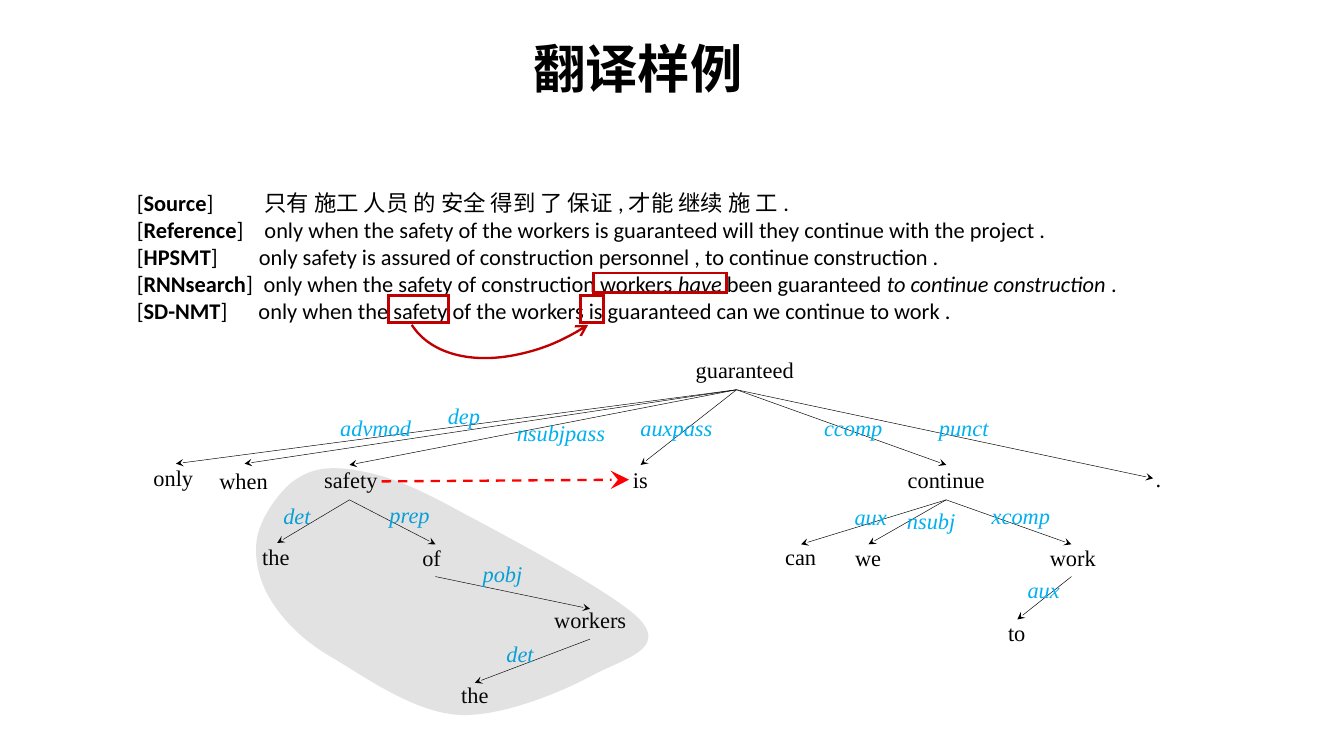
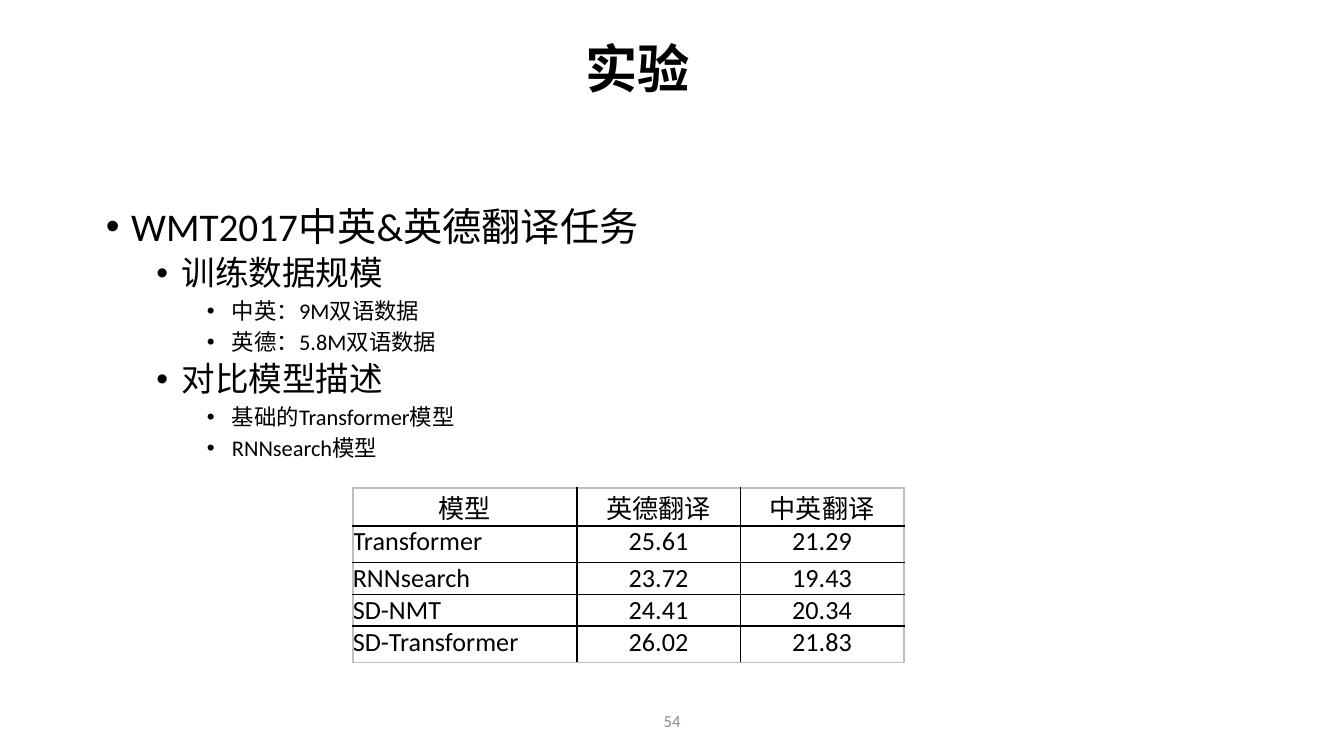
from lxml import etree
from pptx import Presentation
from pptx.dml.color import RGBColor
from pptx.enum import dml, shapes, text
from pptx.oxml.ns import qn
from pptx.util import Pt

BLACK = RGBColor(0x00, 0x00, 0x00)
WHITE = RGBColor(0xFF, 0xFF, 0xFF)
GRAY = RGBColor(0x8C, 0x8C, 0x8C)
EDGE_GRAY = RGBColor(0xBF, 0xBF, 0xBF)
LABEL_BLUE = RGBColor(0x00, 0xB0, 0xF0)
DARK_RED = RGBColor(0xC0, 0x00, 0x00)
RED = RGBColor(0xFF, 0x00, 0x00)
CLOUD = RGBColor(0x3B, 0x38, 0x38)
SANS, SERIF = "Calibri", "Times New Roman"
CENTER = text.PP_ALIGN.CENTER

# system, tab stop, runs of (text, italic)
TRANSLATIONS = [
    ("Source", 68.4, [("只有 施工 人员 的 安全 得到 了 保证 , 才能 继续 施 工 .", False)]),
    ("Reference", 68.4, [("only when the safety of the workers is guaranteed will they "
                          "continue with the project .", False)]),
    ("HPSMT", 65.4, [("only safety is assured of construction personnel , "
                      "to continue construction .", False)]),
    ("RNNsearch", 67.9, [("only when the safety of construction workers ", False),
                         ("have", True), (" been guaranteed ", False),
                         ("to continue construction ", True), (".", False)]),
    ("SD-NMT", 65.2, [("only when the safety of the workers is guaranteed can we "
                       "continue to work .", False)]),
]
HIGHLIGHTS = [(318, 146.3, 71.3, 10.3), (311, 158.4, 12.3, 14.4), (208.2, 158.4, 31.9, 14.4)]
ARC_BOX, ARC_ROTATION = (208, 80, 159, 102.2), 327.3

# key: word, text left, top, width, then the plate: centre x, top, bottom, width
WORDS = {
    "guaranteed": ("guaranteed", 365.2, 187.2, 67.7, 394.6, 192.2, 208.8, 61.2),
    "only": ("only", 74.9, 245.1, 36, 94.3, 248.4, 267.8, 31),
    "when": ("when", 110, 246.8, 41, 131, 248.4, 267.8, 21.6),
    "safety": ("safety", 166, 246.4, 43.9, 187.2, 249.1, 267.8, 0),
    "is": ("is", 331.9, 246.2, 22.3, 343.2, 249.1, 267.8, 18),
    "continue": ("continue", 478.8, 246.2, 56.2, 506.9, 249.1, 267.8, 59),
    "stop": (".", 612, 245.5, 17.3, 617.8, 256.3, 275, 24.5),
    "the safety": ("the", 133, 287.3, 29.5, 148.5, 290.9, 307.4, 26.6),
    "of": ("of", 219, 288, 24.5, 233.3, 291.6, 308.9, 23),
    "workers": ("workers", 289.6, 321.1, 53.3, 316.1, 326.2, 342.4, 48.2),
    "the workers": ("the", 239.6, 361.4, 29.5, 254.4, 365.8, 381.6, 26.6),
    "can": ("can", 413.1, 287.3, 31.7, 429.1, 291.6, 308.9, 25.2),
    "we": ("we", 450.7, 288, 28.8, 465.3, 291.6, 308.9, 23),
    "work": ("work", 554.9, 288, 39.6, 574, 291.6, 308.9, 31.7),
    "to": ("to", 532.8, 328.3, 23.8, 545, 331.9, 348.5, 23),
}
SPARE_PLATE = (255.6, 249.1, 18, 18.7)
# head, dependent, relation, label left, top, width
DEPENDENCIES = [
    ("guaranteed", "only", "advmod", 175.2, 218.2, 52.6),
    ("guaranteed", "when", "dep", 232.8, 211.7, 32.4),
    ("guaranteed", "safety", "nsubjpass", 269.8, 221, 61.9),
    ("guaranteed", "is", "auxpass", 336, 218.2, 53.3),
    ("guaranteed", "continue", "ccomp", 434.4, 218.2, 46.1),
    ("guaranteed", "stop", "punct", 495.9, 218.2, 41.8),
    ("safety", "the safety", "det", 144.7, 265.7, 29.5),
    ("safety", "of", "prep", 201.6, 265, 36),
    ("of", "workers", "pobj", 251.5, 296.6, 36),
    ("workers", "the workers", "det", 264.2, 339.3, 29.5),
    ("continue", "can", "aux", 450.7, 265.9, 32.4),
    ("continue", "we", "nsubj", 478.8, 268, 41),
    ("continue", "work", "xcomp", 524.2, 265.7, 46.1),
    ("work", "to", "aux", 543.4, 305.3, 32.4),
]
SUBTREE_BOX = (136.8, 251.3, 210.2, 131.8)
SUBTREE_START = (186.5, 251.3)
SUBTREE_CURVES = [  # two control points and an end point each
    ((172.8, 249.8), (164.9, 252), (156.2, 258.5)),
    ((148.3, 265), (139, 278.6), (137.5, 289.4)),
    ((136.1, 300.2), (139, 312.5), (146.2, 323.3)),
    ((153.4, 334.1), (163.4, 344.2), (180, 353.5)),
    ((196.6, 363.6), (222.5, 381.6), (245.5, 383)),
    ((268.6, 384.5), (302.4, 370.1), (318.2, 361.4)),
    ((334.8, 352.8), (356.4, 347.8), (343.4, 332.6)),
    ((329.8, 317.5), (264.2, 283.7), (239, 270)),
    ((213.1, 256.3), (200.9, 253.4), (186.5, 251.3)),
]

OUTLINE = [
    (0, "WMT2017中英&英德翻译任务"),
    (1, "训练数据规模"),
    (2, "中英：9M双语数据"),
    (2, "英德：5.8M双语数据"),
    (1, "对比模型描述"),
    (2, "基础的Transformer模型"),
    (2, "RNNsearch模型"),
]
OUTLINE_SIZES = [21, 18, 12]
SCORES = [
    ("模型", "英德翻译", "中英翻译"),
    ("Transformer", "25.61", "21.29"),
    ("RNNsearch", "23.72", "19.43"),
    ("SD-NMT", "24.41", "20.34"),
    ("SD-Transformer", "26.02", "21.83"),
]
SCORE_COLUMNS = [120, 87.6, 87.6]
SCORE_ROWS = [20.3, 19.6, 17.1, 17.1, 19.4]


def points(values):
    return [Pt(value) for value in values]


def write(paragraph, runs, size=12, font=SANS, color=BLACK, bold=False,
          italic=False, align=None):
    """Fill a paragraph from a string or from (text, bold, italic) runs."""
    if isinstance(runs, str):
        runs = [(runs, bold, italic)]
    paragraph.alignment = align
    for words, run_bold, run_italic in runs:
        run = paragraph.add_run()
        run.text = words
        run.font.name, run.font.size = font, Pt(size)
        run.font.bold, run.font.italic = run_bold, run_italic
        run.font.color.rgb = color


def add_box(slide, box, wrap=True, middle=False):
    frame = slide.shapes.add_textbox(*points(box)).text_frame
    frame.word_wrap = wrap
    if not wrap:
        frame.auto_size = text.MSO_AUTO_SIZE.SHAPE_TO_FIT_TEXT
    if middle:
        frame.vertical_anchor = text.MSO_ANCHOR.MIDDLE
    return frame


def add_text(slide, box, words, wrap=True, middle=False, **style):
    write(add_box(slide, box, wrap, middle).paragraphs[0], words, **style)


def next_paragraph(frame, index):
    return frame.add_paragraph() if index else frame.paragraphs[0]


def add_title(slide, words):
    add_text(slide, (102.4, 0, 478.8, 72.7), words, middle=True, size=28,
             font=SERIF, bold=True, align=CENTER)


def style_line(shape, color, width, end=None, kind="stealth", head_size="med"):
    """Colour the line; end is headEnd or tailEnd."""
    shape.line.color.rgb = color
    shape.line.width = Pt(width)
    line = shape.line._get_or_add_ln()
    etree.SubElement(line, qn("a:miter"), lim="800000")
    if end:
        etree.SubElement(line, qn(f"a:{end}"), type=kind, w=head_size, len=head_size)


def add_arrow(slide, start, end, color=BLACK, width=0.25, dashed=False):
    connector = slide.shapes.add_connector(
        shapes.MSO_CONNECTOR.STRAIGHT, *points(start + end))
    etree.SubElement(connector._element.spPr, qn("a:effectLst"))
    if dashed:
        connector.line.dash_style = dml.MSO_LINE.DASH
    style_line(connector, color, width, "tailEnd", head_size="lg" if dashed else "sm")


def add_red_shape(slide, preset, box, width, **ends):
    shape = slide.shapes.add_shape(preset, *points(box))
    shape.shadow.inherit = False
    shape.fill.background()
    style_line(shape, DARK_RED, width, **ends)
    return shape


def fill_plain(shape, color):
    shape.shadow.inherit = False
    shape.line.fill.background()
    shape.fill.solid()
    shape.fill.fore_color.rgb = color


def add_plate(slide, box):
    fill_plain(slide.shapes.add_shape(shapes.MSO_SHAPE.ROUNDED_RECTANGLE, *points(box)), WHITE)


def add_subtree(slide):
    """Draw the closed, see-through curve around one subtree."""
    builder = slide.shapes.build_freeform(*points(SUBTREE_START))
    builder.add_line_segments([points(curve[-1]) for curve in SUBTREE_CURVES])
    cloud = builder.convert_to_shape()
    cloud.left, cloud.top, cloud.width, cloud.height = points(SUBTREE_BOX)
    outline = next(cloud._element.iter(qn("a:path")))
    outline.clear()
    outline.set("w", str(cloud.width))
    outline.set("h", str(cloud.height))
    steps = [("moveTo", [SUBTREE_START])] + [("cubicBezTo", curve) for curve in SUBTREE_CURVES]
    for step, corners in steps:
        command = etree.SubElement(outline, qn(f"a:{step}"))
        for x, y in corners:
            etree.SubElement(command, qn("a:pt"), x=str(Pt(x) - cloud.left),
                             y=str(Pt(y) - cloud.top))
    etree.SubElement(outline, qn("a:close"))
    fill_plain(cloud, CLOUD)
    color = cloud._element.spPr.find(qn("a:solidFill"))[0]
    etree.SubElement(color, qn("a:alpha"), val="14000")


def add_translations(slide):
    frame = add_box(slide, (66.2, 97.9, 596.9, 79.9))
    for index, (system, stop, runs) in enumerate(TRANSLATIONS):
        paragraph = next_paragraph(frame, index)
        tabs = etree.SubElement(paragraph._p.get_or_add_pPr(), qn("a:tabLst"))
        etree.SubElement(tabs, qn("a:tab"), pos=str(Pt(stop)), algn="l")
        write(paragraph, [("[", False, False), (system, True, False), ("]\t", False, False)]
              + [(words, False, italic) for words, italic in runs])


def add_dependency_tree(slide):
    add_plate(slide, SPARE_PLATE)
    for word, left, top, width, x, plate_top, plate_bottom, plate_width in WORDS.values():
        if plate_width:
            add_plate(slide, (x - plate_width / 2, plate_top, plate_width,
                              plate_bottom - plate_top))
        add_text(slide, (left, top, width, 21.6), word, wrap=False, font=SERIF, align=CENTER)
    for head, dependent, relation, *label in DEPENDENCIES:
        add_arrow(slide, (WORDS[head][4], WORDS[head][6]), WORDS[dependent][4:6])
        add_text(slide, (*label, 21.6), relation, wrap=False, font=SERIF,
                 color=LABEL_BLUE, italic=True)
    add_subtree(slide)
    add_arrow(slide, (204.5, 257.9), (337, 257), RED, 1.25, dashed=True)


def build_example(slide):
    add_translations(slide)
    for box in HIGHLIGHTS:
        add_red_shape(slide, shapes.MSO_SHAPE.RECTANGLE, box, 1.5)
    arc = add_red_shape(slide, shapes.MSO_SHAPE.ARC, ARC_BOX, 1.25, end="headEnd", kind="arrow")
    arc.rotation = ARC_ROTATION
    for flip in ("flipH", "flipV"):
        arc._element.spPr.xfrm.set(flip, "1")
    add_dependency_tree(slide)
    add_title(slide, "翻译样例")


def add_outline(slide):
    frame = add_box(slide, (49.7, 107.7, 620.6, 257))
    for index, (level, words) in enumerate(OUTLINE):
        paragraph = next_paragraph(frame, index)
        properties = paragraph._p.get_or_add_pPr()
        properties.set("marL", str(Pt(13.5 + 27 * level)))
        properties.set("indent", str(Pt(-13.5)))
        etree.SubElement(properties, qn("a:buFont"), typeface="Arial")
        etree.SubElement(properties, qn("a:buChar"), char="•")
        paragraph.level = level
        paragraph.line_spacing = 0.9
        if index:
            paragraph.space_before = Pt(3.75)
        write(paragraph, words, size=OUTLINE_SIZES[level])


def set_borders(cell, outer):
    """Draw the four sides; outer tells which lie on the table's edge."""
    properties = cell._tc.get_or_add_tcPr()
    for side, on_edge in zip("LRTB", outer):
        line = etree.SubElement(properties, qn(f"a:ln{side}"), w=str(Pt(1)))
        fill = etree.SubElement(line, qn("a:solidFill"))
        etree.SubElement(fill, qn("a:srgbClr"), val=str(EDGE_GRAY if on_edge else BLACK))


def add_scores(slide):
    box = (189, 261.4, sum(SCORE_COLUMNS), sum(SCORE_ROWS))
    last_row, last_column = len(SCORES) - 1, len(SCORE_COLUMNS) - 1
    table = slide.shapes.add_table(last_row + 1, last_column + 1, *points(box)).table
    table.first_row = table.horz_banding = False
    for column, width in zip(table.columns, SCORE_COLUMNS):
        column.width = Pt(width)
    for r, values in enumerate(SCORES):
        table.rows[r].height = Pt(SCORE_ROWS[r])
        for c, value in enumerate(values):
            cell = table.cell(r, c)
            cell.margin_left = cell.margin_right = cell.margin_top = cell.margin_bottom = 0
            set_borders(cell, (c == 0, c == last_column, r == 0, r == last_row))
            cell.fill.background()
            write(cell.text_frame.paragraphs[0], value, size=14,
                  align=None if r and c == 0 else CENTER)


def build_experiment(slide):
    add_outline(slide)
    add_text(slide, (238.3, 375.1, 243.4, 21.6), "54", middle=True, size=9,
             color=GRAY, align=CENTER)
    add_scores(slide)
    add_title(slide, "实验")


def main():
    presentation = Presentation()
    presentation.slide_width, presentation.slide_height = Pt(720), Pt(405)
    for build in (build_example, build_experiment):
        build(presentation.slides.add_slide(presentation.slide_layouts[6]))
    presentation.save("out.pptx")


if __name__ == "__main__":
    main()
